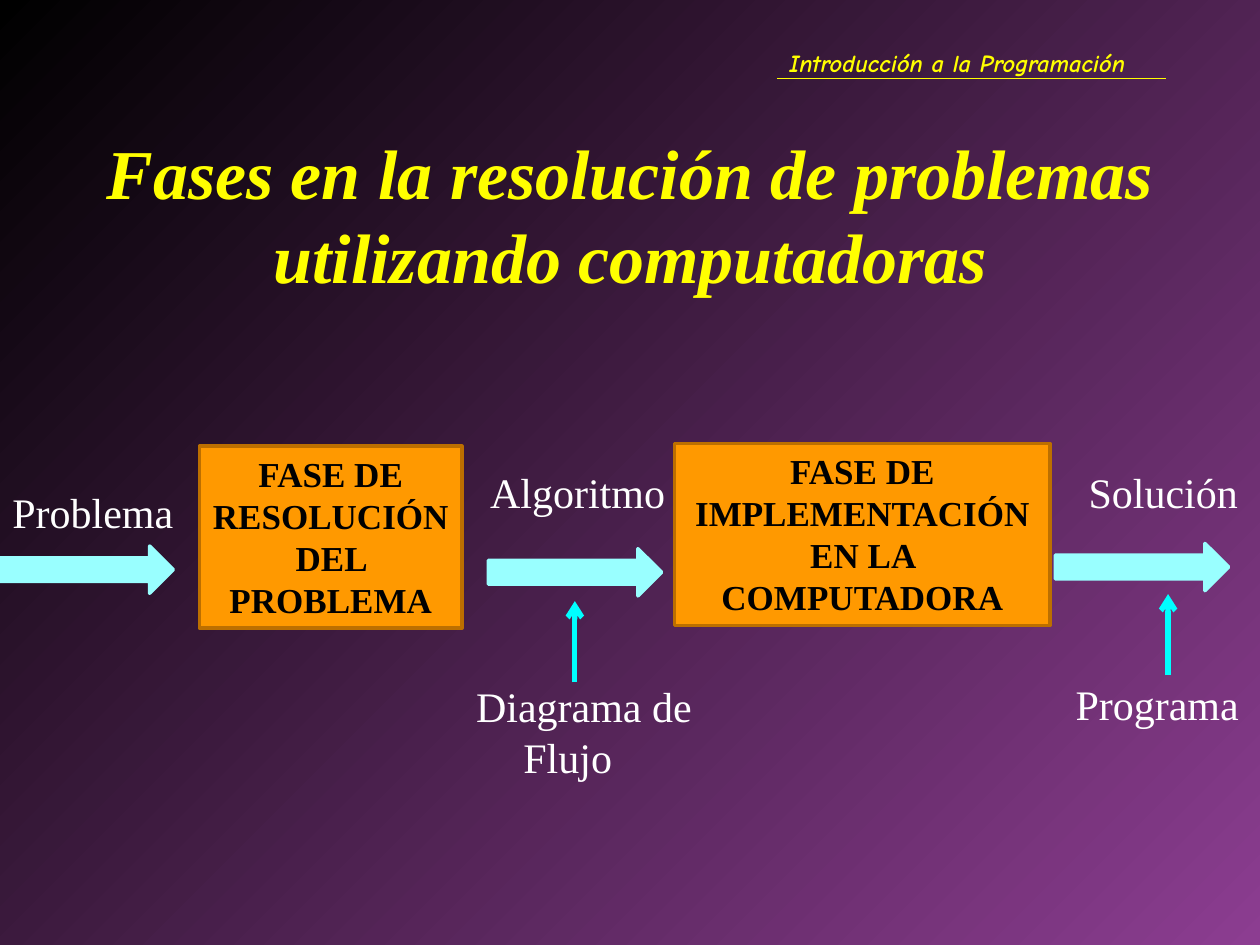
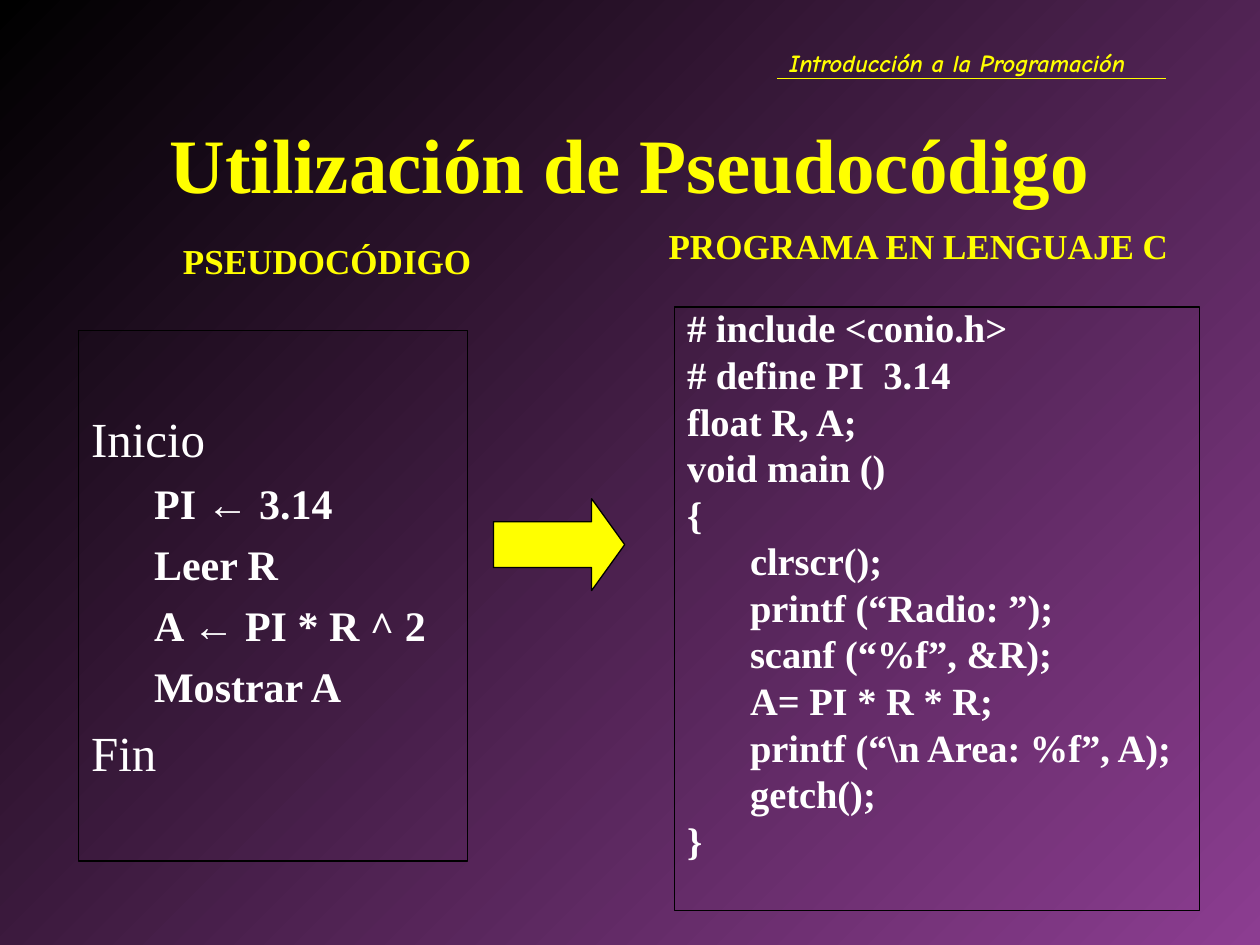
"""Builds two slides on problem solving phases and pseudocode."""
from dataclasses import dataclass

from lxml import etree
from pptx import Presentation
from pptx.dml.color import RGBColor
from pptx.enum.shapes import MSO_CONNECTOR, MSO_SHAPE
from pptx.enum.text import MSO_ANCHOR, MSO_AUTO_SIZE, PP_ALIGN
from pptx.oxml.ns import qn
from pptx.util import Pt

RECT, ARROW = MSO_SHAPE.RECTANGLE, MSO_SHAPE.RIGHT_ARROW
LINE = MSO_CONNECTOR.STRAIGHT
TOP, MIDDLE = MSO_ANCHOR.TOP, MSO_ANCHOR.MIDDLE
LEFT, CENTER = PP_ALIGN.LEFT, PP_ALIGN.CENTER
FIXED = MSO_AUTO_SIZE.NONE


@dataclass(frozen=True)
class Theme:
    serif: str = "Times New Roman"
    sans: str = "Arial"
    comic: str = "Comic Neue"
    black: str = "000000"
    white: str = "FFFFFF"
    purple: str = "8C3D91"
    yellow: str = "FFFF00"
    orange: str = "FF9900"
    brown: str = "BC6F00"
    pale: str = "99FFFF"
    cyan: str = "00FFFF"
    title: int = 44
    phrase: int = 40
    block: int = 28
    label: int = 24
    code: int = 22
    head: int = 20
    band: int = 14
    hang: float = 27
    inner: float = 58.5
    back: float = 22.5


T = Theme()

BAND = "Introducción a la Programación"
PHASES = {
    "title": "Fases en la resolución de problemas utilizando computadoras",
    "labels": [
        ("Algoritmo", (273, 263, 144, 63)),
        ("Problema", (0, 274.5, 106.5, 57)),
        ("Solución", (615, 263, 119, 63)),
        ("Diagrama de Flujo", (265, 385.5, 144, 63)),
        ("Programa", (607.5, 384, 112.5, 63)),
    ],
    "boxes": [
        ("FASE DE RESOLUCIÓN DEL PROBLEMA", (114, 255, 150, 104)),
        ("FASE DE IMPLEMENTACIÓN EN LA COMPUTADORA",
         (385.5, 253.5, 214.5, 104)),
    ],
    "flows": [(279, 313.5), (0, 312), (603, 310.5)],
    "links": [(328.5, 390), (667.5, 386)],
}
CODE = {
    "title": "Utilización de Pseudocódigo",
    "heads": [
        ("PSEUDOCÓDIGO", (97.5, 133.5, 183, 31.5)),
        ("PROGRAMA EN LENGUAJE C", (375, 124.5, 313.5, 31.5)),
    ],
    "pseudo": [
        (0, "Inicio"), (1, "PI ← 3.14"), (1, "Leer R"),
        (1, "A ← PI * R ^ 2"), (1, "Mostrar A"), (0, "Fin"),
    ],
    "source": [
        (0, "# include <conio.h>"), (0, "# define PI  3.14"),
        (0, "float R, A;"), (0, "void main ()"), (0, "{"),
        (1, "clrscr();"), (1, "printf (“Radio: ”);"),
        (1, "scanf (“%f”, &R);"), (1, "A= PI * R * R;"),
        (1, "printf (“\\n Area: %f”, A);"), (1, "getch();"), (0, "}"),
    ],
}


def rgb(tone):
    return RGBColor.from_string(tone)


def pts(*nums):
    return [Pt(num) for num in nums]


def style(para, size, tone, bold=False, italic=False, face=T.serif):
    font = para.font
    font.name, font.size, font.bold, font.italic = face, Pt(size), bold, italic
    font.color.rgb = rgb(tone)


def indent(para, level):
    para.level = level
    props = para._p.get_or_add_pPr()
    left, first = (T.inner, -T.back) if level else (T.hang, -T.hang)
    props.set("marL", str(Pt(left)))
    props.set("indent", str(Pt(first)))


def setup(shape, anchor=TOP):
    frame = shape.text_frame
    frame.word_wrap = True
    frame.auto_size = FIXED
    frame.vertical_anchor = anchor
    return frame


def write(slide, text, place, size, tone, hang=False, **look):
    para = setup(slide.shapes.add_textbox(*pts(*place))).paragraphs[0]
    para.text = text
    if hang:
        indent(para, 0)
    style(para, size, tone, **look)


def draw(slide, kind, place, fill, edge, width):
    shape = slide.shapes.add_shape(kind, *pts(*place))
    shape.shadow.inherit = False
    if fill:
        shape.fill.solid()
        shape.fill.fore_color.rgb = rgb(fill)
    else:
        shape.fill.background()
    shape.line.color.rgb = rgb(edge)
    shape.line.width = Pt(width)
    return shape


def rule(slide, ends, tone, width, tip=False):
    line = slide.shapes.add_connector(LINE, *pts(*ends))
    line.line.color.rgb = rgb(tone)
    line.line.width = Pt(width)
    if tip:
        etree.SubElement(line.line._get_or_add_ln(), qn("a:tailEnd"),
                         type="arrow")
    etree.SubElement(line._element.spPr, qn("a:effectLst"))


def start(deck, text, place, size, italic=False):
    slide = deck.slides.add_slide(deck.slide_layouts[5])
    title = slide.shapes.title
    title.left, title.top, title.width, title.height = pts(*place)
    para = setup(title, MIDDLE).paragraphs[0]
    para.text = text
    para.alignment = CENTER
    style(para, size, T.yellow, True, italic)
    write(slide, BAND, (444, 24, 234, 24.5), T.band, T.yellow,
          bold=True, italic=True, face=T.comic)
    rule(slide, (444, 45, 666, 45), T.yellow, 0.75)
    return slide


def listing(slide, place, rows, sizes, bolds, gaps, space=1.0, head=3.6):
    frame = setup(draw(slide, RECT, place, None, T.black, 0.75))
    frame.margin_top = Pt(head)
    for num, (level, text) in enumerate(rows):
        para = frame.add_paragraph() if num else frame.paragraphs[0]
        indent(para, level)
        para.alignment = LEFT
        para.line_spacing = space
        if num:
            para.space_before = Pt(gaps[level])
        for part in filter(None, text.partition("←")):
            run = para.add_run()
            run.text = part
            if part == "←":
                run.font.name = T.sans
        style(para, sizes[level], T.white, bolds[level])


def phases(deck):
    slide = start(deck, PHASES["title"], (34.5, 69, 651, 106.5), T.phrase, True)
    for text, place in PHASES["labels"]:
        write(slide, text, place, T.label, T.white, hang=True)
    for text, place in PHASES["boxes"]:
        box = draw(slide, RECT, place, T.orange, T.brown, 2)
        para = setup(box).paragraphs[0]
        para.text = text
        para.alignment = CENTER
        style(para, T.head, T.black, True)
    for left, top in PHASES["flows"]:
        draw(slide, ARROW, (left, top, 99, 27), T.pale, T.pale, 2)
    for x, y in PHASES["links"]:
        rule(slide, (x, y, x, y - 46.5), T.cyan, 3, True)


def code(deck):
    slide = start(deck, CODE["title"], (54, 48, 612, 90), T.title)
    listing(slide, (45, 189, 222, 303), CODE["pseudo"], (T.block, T.label),
            (False, True), (7, 6), head=44.2)
    listing(slide, (385.5, 175.5, 300, 345), CODE["source"], (T.code, T.code),
            (True, True), (5.5, 5.5), space=0.8)
    arrow = draw(slide, ARROW, (282, 285, 75, 52.5), T.yellow, T.black, 0.75)
    arrow.adjustments[1] = 0.36
    for text, place in CODE["heads"]:
        write(slide, text, place, T.head, T.yellow, bold=True)


def main():
    deck = Presentation()
    deck.slide_width, deck.slide_height = pts(720, 540)
    fill = deck.slide_master.background.fill
    fill.gradient()
    fill.gradient_angle = 315
    for stop, tone in zip(fill.gradient_stops, (T.black, T.purple)):
        stop.color.rgb = rgb(tone)
    phases(deck)
    code(deck)
    deck.save("out.pptx")


if __name__ == "__main__":
    main()
